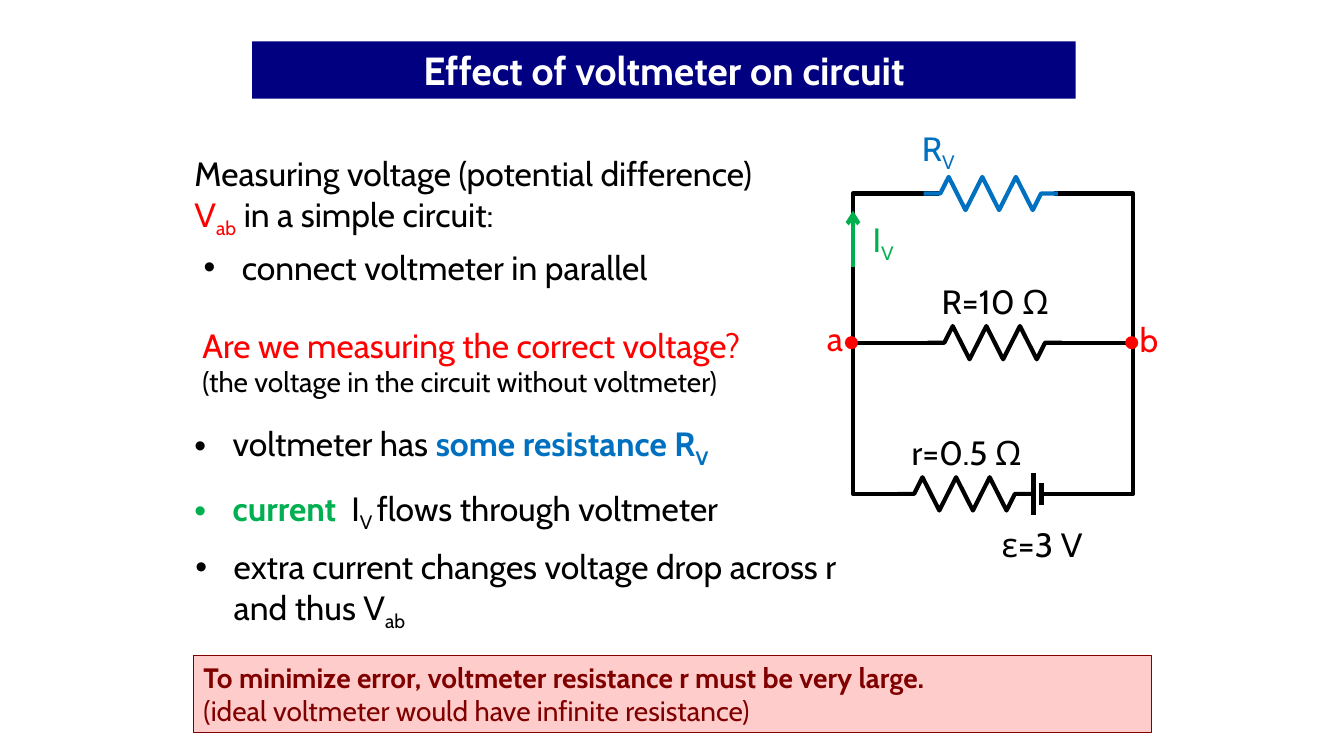
"""Build a slide on how a voltmeter affects the circuit it measures."""
from lxml import etree
from pptx import Presentation
from pptx.dml.color import RGBColor
from pptx.enum.shapes import MSO_CONNECTOR, MSO_SHAPE
from pptx.enum.text import MSO_ANCHOR, PP_ALIGN
from pptx.oxml.ns import qn
from pptx.util import Inches, Pt

LEFT, CENTER = PP_ALIGN.LEFT, PP_ALIGN.CENTER
TOP = MSO_ANCHOR.TOP
RECTANGLE, OVAL = MSO_SHAPE.RECTANGLE, MSO_SHAPE.OVAL
STRAIGHT = MSO_CONNECTOR.STRAIGHT

FONT = "Cabin"
COLORS = {
    "black": "000000", "white": "FFFFFF", "navy": "000080", "red": "FF0000",
    "blue": "0070C0", "green": "00B050", "maroon": "800000", "pink": "FFCCCC",
}
STYLES = {"plain": {}, "bold": {"bold": True}, "sub": {}, "bold sub": {"bold": True}}

BANNERS = [
    ((2.5, 0.41, 8.17, 0.57), "navy", None, CENTER, [
        (28, [("Effect of voltmeter on circuit", "white", "bold")])]),
    ((1.92, 6.5, 9.5, 0.77), "pink", "maroon", LEFT, [
        (20, [("To minimize error, voltmeter resistance r must be very large.",
               "maroon", "bold")]),
        (20, [("(ideal voltmeter would have infinite resistance)", "maroon", "plain")])]),
]
STATEMENTS = [
    ((1.83, 1.47, 6.08, 0.91), [
        (24, [("Measuring voltage (potential difference) ", "black", "plain"),
              ("V", "red", "plain"), ("ab", "red", "sub"),
              (" in a simple circuit:", "black", "plain")])]),
    ((1.91, 3.17, 5.94, 0.84), [
        (24, [("Are we measuring the correct voltage?", "red", "plain")]),
        (20, [("(the voltage in the circuit without voltmeter)", "black", "plain")])]),
]
BULLETS = [
    ((1.92, 2.4, 4.79, 0.51), [
        (24, [("connect voltmeter in parallel", "black", "plain")])]),
    ((1.83, 4.15, 9.5, 0.5), [
        (24, [("voltmeter has ", "black", "plain"),
              ("some resistance R", "blue", "bold"), ("V", "blue", "bold sub")])]),
    ((1.83, 4.79, 9.5, 0.51), [
        (24, [("current ", "green", "bold"), (" I", "black", "plain"),
              ("V ", "black", "sub"), ("flows through voltmeter", "black", "plain")])]),
    ((1.84, 5.37, 7.04, 0.91), [
        (24, [("extra current changes voltage drop across r and thus V", "black", "plain"),
              ("ab", "black", "sub")])]),
]
LABELS = [
    ((9.03, 1.22, 0.55, 0.51), "blue", "R", "V"),
    ((8.53, 2.12, 0.46, 0.51), "green", "I", "V"),
    ((9.18, 2.74, 1.38, 0.5), "black", "R=10 Ω", ""),
    ((8.89, 4.24, 1.39, 0.5), "black", "r=0.5 Ω", ""),
    ((9.79, 5.15, 1.09, 0.51), "black", "ε=3 V", ""),
    ((8.09, 3.1, 0.38, 0.5), "red", "a", ""),
    ((11.2, 3.11, 0.39, 0.5), "red", "b", ""),
]

A_X, B_X = 8.46, 11.24
METER_Y, LOAD_Y, BATTERY_Y = 1.92, 3.4, 4.9
CORNERS = [(9.31, A_X, METER_Y), (10.45, B_X, METER_Y),
           (8.99, A_X, BATTERY_Y), (10.33, B_X, BATTERY_Y)]
RESISTORS = [(9.16, METER_Y, "blue"), (9.2, LOAD_Y, "black"), (8.9, BATTERY_Y, "black")]
ZIGZAG = [(0, 0), (2, 0), (3, -1), (5, 1), (7, -1), (9, 1), (11, -1), (13, 1), (14, 0), (16, 0)]
ZIGZAG_STEP, ZIGZAG_RISE = 1.333 / 16, 0.165
LOAD_WIRES = [(A_X, 9.24), (10.45, B_X)]
BATTERY_PLATES = [(10.25, 0.21), (10.33, 0.11)]
NODES = [8.445, 11.225]
NODE_SIZE = 0.13
CURRENT_START, CURRENT_END = 2.65, 2.09

prs = Presentation()
prs.slide_width, prs.slide_height = Inches(13.33), Inches(7.5)
slide = prs.slides.add_slide(prs.slide_layouts[6])
shapes = slide.shapes


def rgb(color):
    return RGBColor.from_string(COLORS[color])


def add_bullet(paragraph):
    properties = paragraph._p.get_or_add_pPr()
    properties.set("marL", str(Inches(0.38)))
    properties.set("indent", str(-Inches(0.38)))
    etree.SubElement(properties, qn("a:buFont")).set("typeface", "Arial")
    etree.SubElement(properties, qn("a:buChar")).set("char", "•")


def write(frame, paragraphs, align=LEFT, bulleted=False, wrap=True):
    frame.word_wrap, frame.vertical_anchor = wrap, TOP
    for index, (size, runs) in enumerate(paragraphs):
        paragraph = frame.add_paragraph() if index else frame.paragraphs[0]
        paragraph.alignment = align
        if bulleted:
            add_bullet(paragraph)
        for text, color, style in runs:
            run = paragraph.add_run()
            run.text = text
            font_format = {"name": FONT, "size": Pt(size), "bold": False, **STYLES[style]}
            for attribute, value in font_format.items():
                setattr(run.font, attribute, value)
            run.font.color.rgb = rgb(color)
            if style.endswith("sub"):
                run.font._element.set("baseline", "-25000")


def add_text(box, paragraphs, **layout):
    write(shapes.add_textbox(*map(Inches, box)).text_frame, paragraphs, **layout)


def add_filled(kind, box, fill, outline=None):
    shape = shapes.add_shape(kind, *map(Inches, box))
    shape.shadow.inherit = False
    shape.fill.solid()
    shape.fill.fore_color.rgb = rgb(fill)
    if outline:
        shape.line.color.rgb, shape.line.width = rgb(outline), Pt(0.75)
    else:
        shape.line.fill.background()
    return shape


def add_path(points, color="black"):
    start, *rest = [(Inches(x), Inches(y)) for x, y in points]
    builder = shapes.build_freeform(*start)
    builder.add_line_segments(rest, close=False)
    path = builder.convert_to_shape()
    path.shadow.inherit = False
    path.fill.background()
    path.line.color.rgb, path.line.width = rgb(color), Pt(3)


def add_wire(start, end, color="black"):
    wire = shapes.add_connector(STRAIGHT, *map(Inches, start + end))
    wire.line.color.rgb, wire.line.width = rgb(color), Pt(3)
    etree.SubElement(wire._element.spPr, qn("a:effectLst"))
    return wire


for box, fill, outline, align, paragraphs in BANNERS:
    write(add_filled(RECTANGLE, box, fill, outline).text_frame, paragraphs, align)
for box, paragraphs in STATEMENTS:
    add_text(box, paragraphs)
for box, paragraphs in BULLETS:
    add_text(box, paragraphs, bulleted=True)

for inner_x, side_x, y in CORNERS:
    add_path([(inner_x, y), (side_x, y), (side_x, LOAD_Y)])
for start_x, end_x in LOAD_WIRES:
    add_wire((start_x, LOAD_Y), (end_x, LOAD_Y))
for x, half_height in BATTERY_PLATES:
    add_wire((x, BATTERY_Y - half_height), (x, BATTERY_Y + half_height))
for x, y, color in RESISTORS:
    add_path([(x + ZIGZAG_STEP * dx, y + ZIGZAG_RISE * dy) for dx, dy in ZIGZAG], color)
for x in NODES:
    add_filled(OVAL, (x - NODE_SIZE / 2, LOAD_Y - NODE_SIZE / 2, NODE_SIZE, NODE_SIZE), "red")

current = add_wire((A_X, CURRENT_START), (A_X, CURRENT_END), "green")
etree.SubElement(current.line._get_or_add_ln(), qn("a:tailEnd")).set("type", "arrow")

for box, color, symbol, subscript in LABELS:
    runs = [(symbol, color, "plain")] + ([(subscript, color, "sub")] if subscript else [])
    add_text(box, [(24, runs)], align=CENTER, wrap=False)

prs.save("out.pptx")
